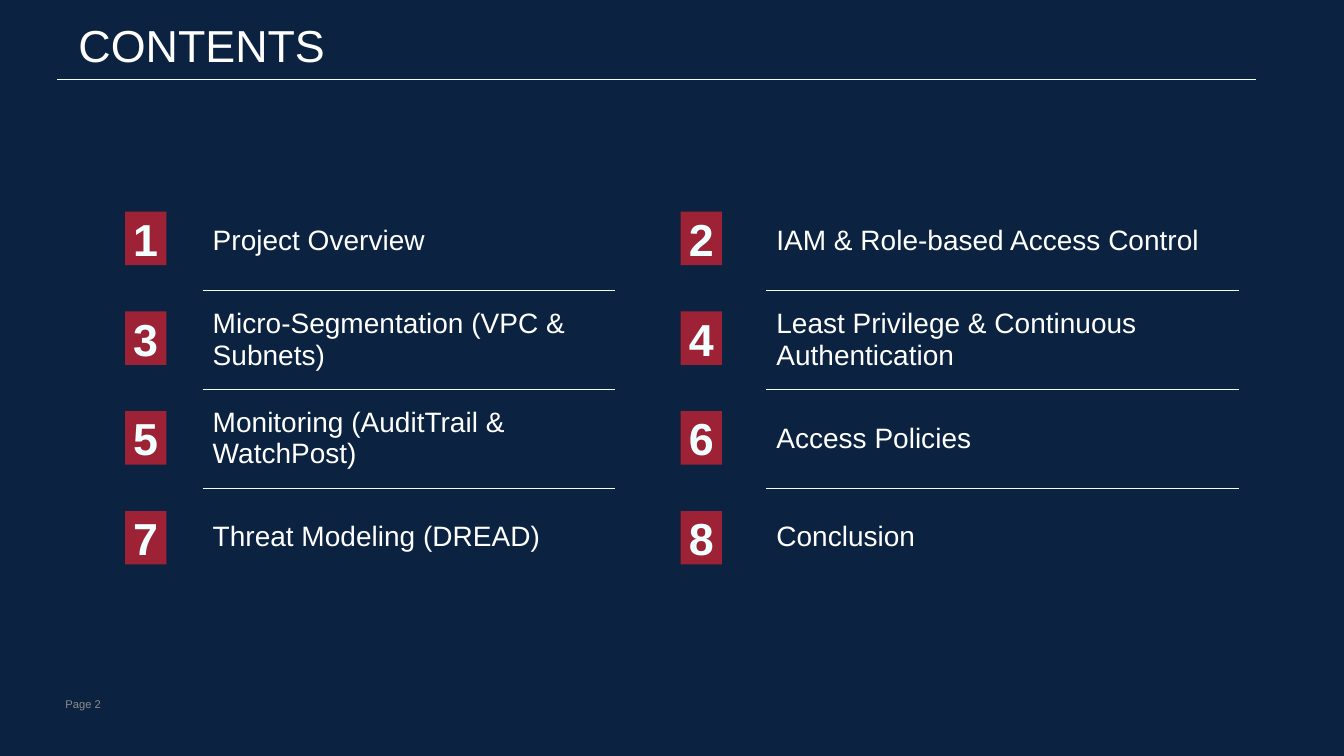
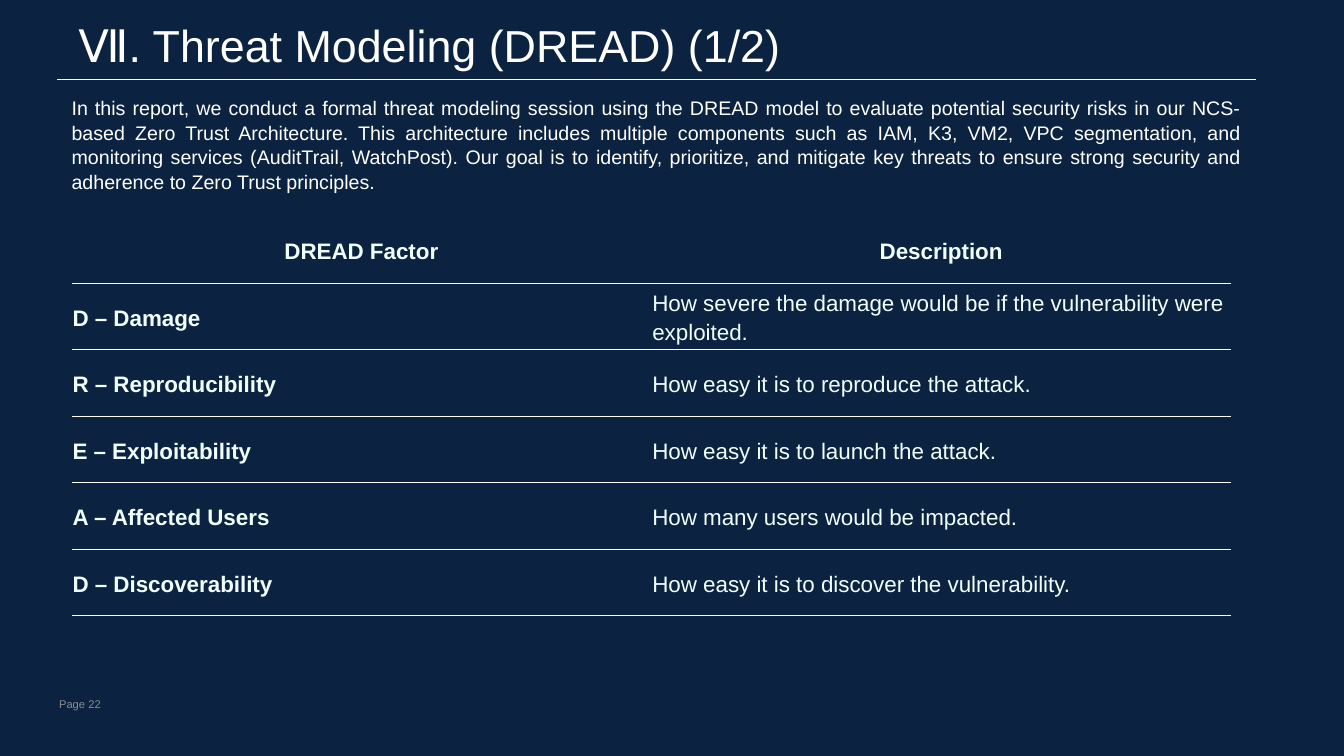
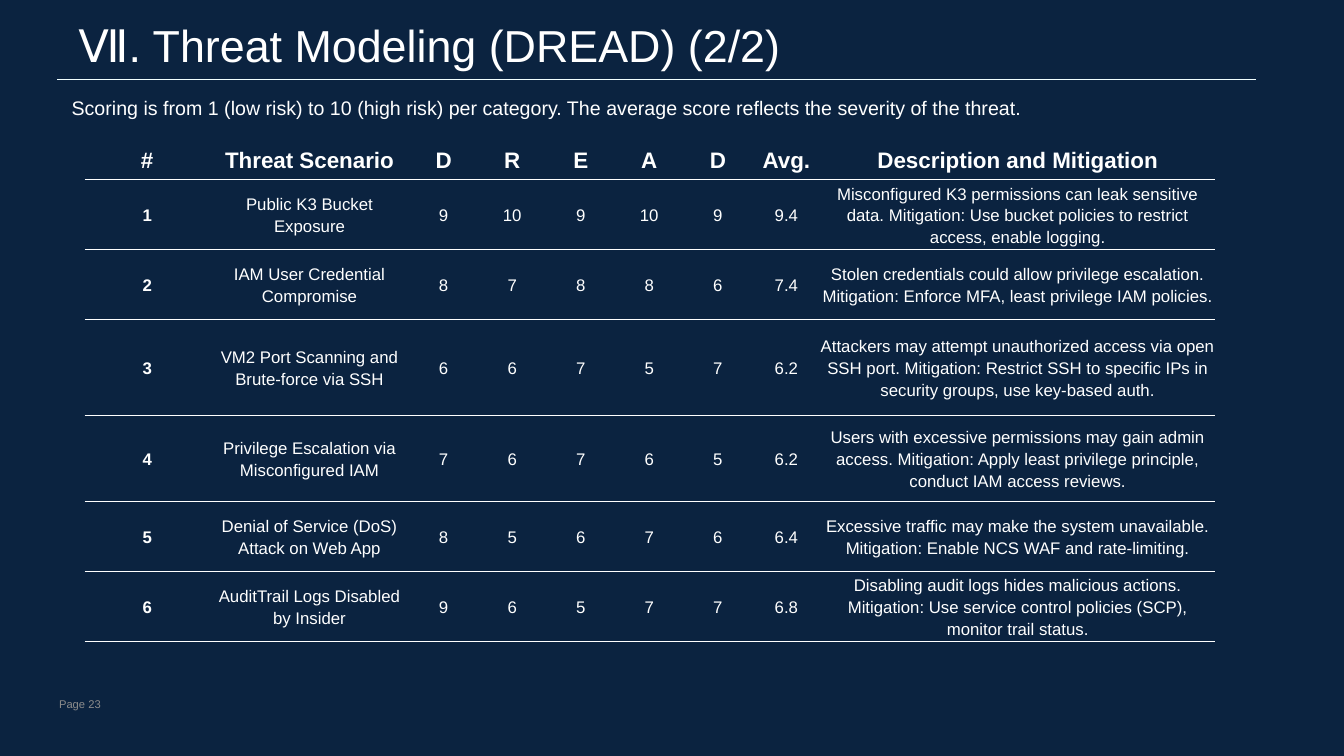
"""Build three slides on threat modeling: contents, factors and scores."""
from lxml import etree
from pptx import Presentation
from pptx.dml.color import RGBColor
from pptx.enum.shapes import MSO_CONNECTOR, MSO_SHAPE
from pptx.enum.text import MSO_ANCHOR, PP_ALIGN
from pptx.oxml.ns import qn
from pptx.util import Inches, Pt

LEFT, RIGHT = PP_ALIGN.LEFT, PP_ALIGN.RIGHT
CENTER, JUST = PP_ALIGN.CENTER, PP_ALIGN.JUSTIFY
MIDDLE = MSO_ANCHOR.MIDDLE
PLATE, STRAIGHT = MSO_SHAPE.PENTAGON, MSO_CONNECTOR.STRAIGHT

NAVY = RGBColor(0x0B, 0x23, 0x40)
WHITE = RGBColor(0xFF, 0xFF, 0xFF)
ICE = RGBColor(0xF2, 0xFF, 0xFF)
RED = RGBColor(0x9D, 0x22, 0x35)
GRAY = RGBColor(0x8C, 0x8C, 0x8C)
FONT = "Arial"
PLAIN = "{2D5ABB26-0587-4C30-8999-92F81FD0307C}"

TOPICS = [
    ("Project Overview", "IAM & Role-based Access Control"),
    ("Micro-Segmentation (VPC & Subnets)",
     "Least Privilege & Continuous Authentication"),
    ("Monitoring (AuditTrail & WatchPost)", "Access Policies"),
    ("Threat Modeling (DREAD)", "Conclusion"),
]
LISTS = [(1.24, 2.01, 4.09), (6.75, 7.6, 4.69)]
TOP, ROW, STEP = 1.9, 0.98, 0.99

INTRO = (
    "In this report, we conduct a formal threat modeling session using the "
    "DREAD model to evaluate potential security risks in our NCS-based Zero "
    "Trust Architecture. This architecture includes multiple components such "
    "as IAM, K3, VM2, VPC segmentation, and monitoring services (AuditTrail, "
    "WatchPost). Our goal is to identify, prioritize, and mitigate key threats "
    "to ensure strong security and adherence to Zero Trust principles."
)
FACTORS = [
    ("DREAD Factor", "Description"),
    ("D – Damage",
     "How severe the damage would be if the vulnerability were exploited."),
    ("R – Reproducibility", "How easy it is to reproduce the attack."),
    ("E – Exploitability", "How easy it is to launch the attack."),
    ("A – Affected Users", "How many users would be impacted."),
    ("D – Discoverability", "How easy it is to discover the vulnerability."),
]

SCALE = (
    "Scoring is from 1 (low risk) to 10 (high risk) per category. "
    "The average score reflects the severity of the threat."
)
SCORES = [
    ("#", "Threat Scenario", "D", "R", "E", "A", "D", "Avg.",
     "Description and Mitigation"),
    (1, "Public K3 Bucket Exposure", 9, 10, 9, 10, 9, 9.4,
     "Misconfigured K3 permissions can leak sensitive data. Mitigation: "
     "Use bucket policies to restrict access, enable logging."),
    (2, "IAM User Credential Compromise", 8, 7, 8, 8, 6, 7.4,
     "Stolen credentials could allow privilege escalation. Mitigation: "
     "Enforce MFA, least privilege IAM policies."),
    (3, "VM2 Port Scanning and Brute-force via SSH", 6, 6, 7, 5, 7, 6.2,
     "Attackers may attempt unauthorized access via open SSH port. Mitigation: "
     "Restrict SSH to specific IPs in security groups, use key-based auth."),
    (4, "Privilege Escalation via Misconfigured IAM", 7, 6, 7, 6, 5, 6.2,
     "Users with excessive permissions may gain admin access. Mitigation: "
     "Apply least privilege principle, conduct IAM access reviews."),
    (5, "Denial of Service (DoS) Attack on Web App", 8, 5, 6, 7, 6, 6.4,
     "Excessive traffic may make the system unavailable. Mitigation: "
     "Enable NCS WAF and rate-limiting."),
    (6, "AuditTrail Logs Disabled by Insider", 9, 6, 5, 7, 7, 6.8,
     "Disabling audit logs hides malicious actions. Mitigation: "
     "Use service control policies (SCP), monitor trail status."),
]
WIDTHS = [1.24, 1.98] + [0.68] * 6 + [3.91]
HEIGHTS = [0.41, 0.69, 0.69, 0.95, 0.86, 0.69, 0.69]


def write(frame, text, size, color=WHITE, bold=False, align=LEFT,
          line=None, after=None):
    """Put one styled paragraph in a text frame."""
    par = frame.paragraphs[0]
    par.text = str(text)
    par.alignment, par.line_spacing = align, line
    if after is not None:
        par.space_after = Pt(after)
    font = par.font
    font.name, font.size, font.bold = FONT, Pt(size), bold
    font.color.rgb = color


def inset(item, gap):
    """Set all four margins of a frame or cell."""
    item.margin_left = item.margin_right = Inches(gap)
    item.margin_top = item.margin_bottom = Inches(gap)


def label(slide, box, text, size, **style):
    """Add a wrapped text box and return its frame."""
    frame = slide.shapes.add_textbox(*map(Inches, box)).text_frame
    frame.word_wrap = True
    write(frame, text, size, **style)
    return frame


def start(deck, title, page):
    """Add a slide with title, rule and page number."""
    slide = deck.slides.add_slide(deck.slide_layouts[6])
    rule = slide.shapes.add_connector(
        STRAIGHT, *map(Inches, (0.57, 0.79, 12.46, 0.79)))
    rule.line.color.rgb, rule.line.width = ICE, Pt(1)
    etree.SubElement(rule.element.spPr, qn("a:effectLst"))
    foot = label(slide, (0.47, 6.78, 0.63, 0.4), f"Page {page}", 8,
                 color=GRAY, align=RIGHT)
    head = label(slide, (0.68, 0.19, 10.76, 0.51), title, 32)
    foot.vertical_anchor = head.vertical_anchor = MIDDLE
    return slide


def note(slide, text, high):
    """Add the justified lead text below the rule."""
    frame = label(slide, (0.71, 0.94, 11.61, high), text, 14,
                  align=JUST, line=1.05, after=6)
    inset(frame, 0)


def under(cell, color, width):
    """Draw the bottom border of a cell."""
    edge = etree.Element(qn("a:lnB"), w=str(Pt(width)))
    fill = etree.SubElement(edge, qn("a:solidFill"))
    etree.SubElement(fill, qn("a:srgbClr"), val=str(color))
    cell._tc.get_or_add_tcPr().insert(0, edge)


def grid(slide, left, top, widths, heights, rows, style, rules, color, gap=None):
    """Add a table; style gives the text format by row and column."""
    table = slide.shapes.add_table(
        len(heights), len(widths), Inches(left), Inches(top),
        Inches(sum(widths)), Inches(sum(heights))).table
    table._tbl.tblPr.find(qn("a:tableStyleId")).text = PLAIN
    table.first_row = table.horz_banding = False
    for col, wide in zip(table.columns, widths):
        col.width = Inches(wide)
    for r, (row, high) in enumerate(zip(rows, heights)):
        table.rows[r].height = Inches(high)
        for c, text in enumerate(row):
            cell = table.cell(r, c)
            cell.vertical_anchor = MIDDLE
            cell.fill.background()
            if gap is not None:
                inset(cell, gap)
            write(cell.text_frame, text, **style(r, c))
            if rules[r]:
                under(cell, color, rules[r])


def marker(slide, left, top, number):
    """Add a red number plate."""
    plate = slide.shapes.add_shape(
        PLATE, *map(Inches, (left, top, 0.41, 0.53)))
    plate.adjustments[0] = 0
    plate.shadow.inherit = False
    plate.fill.solid()
    plate.fill.fore_color.rgb = RED
    plate.line.fill.background()
    frame = plate.text_frame
    inset(frame, 0)
    frame.vertical_anchor = MIDDLE
    write(frame, number, 32, ICE, True, CENTER)


def topic(r, c):
    """Format contents entries."""
    return dict(size=20)


def factor(r, c):
    """Format the factor table."""
    return dict(size=16, color=ICE, bold=r == 0 or c == 0,
                align=LEFT if r else CENTER, line=1.16, after=8)


def score(r, c):
    """Format the score table."""
    return dict(size=12 if r else 16, bold=r == 0 or c == 0,
                align=CENTER, line=1.16, after=8)


def main():
    """Build and save the deck."""
    deck = Presentation()
    deck.slide_width, deck.slide_height = Inches(13.33), Inches(7.5)
    back = deck.slide_master.background.fill
    back.solid()
    back.fore_color.rgb = NAVY

    slide = start(deck, "CONTENTS", 2)
    count = len(TOPICS)
    for c, (spot, left, wide) in enumerate(LISTS):
        rows = [(pair[c],) for pair in TOPICS]
        grid(slide, left, TOP, [wide], [ROW] * count, rows, topic,
             [0.5] * (count - 1) + [0], ICE)
        for r in range(count):
            marker(slide, spot, TOP + 0.2 + r * STEP, 2 * r + c + 1)

    slide = start(deck, "Ⅶ. Threat Modeling (DREAD) (1/2)", 22)
    note(slide, INTRO, 1.06)
    grid(slide, 0.71, 2.15, [5.75] * 2, [0.66] * len(FACTORS), FACTORS, factor,
         [1] + [0.5] * (len(FACTORS) - 2) + [1], WHITE, 0.01)

    slide = start(deck, "Ⅶ. Threat Modeling (DREAD) (2/2)", 23)
    note(slide, SCALE, 0.51)
    grid(slide, 0.84, 1.37, WIDTHS, HEIGHTS, SCORES, score,
         [1] + [0.5] * (len(SCORES) - 2) + [1], WHITE, 0)

    deck.save("out.pptx")


if __name__ == "__main__":
    main()
